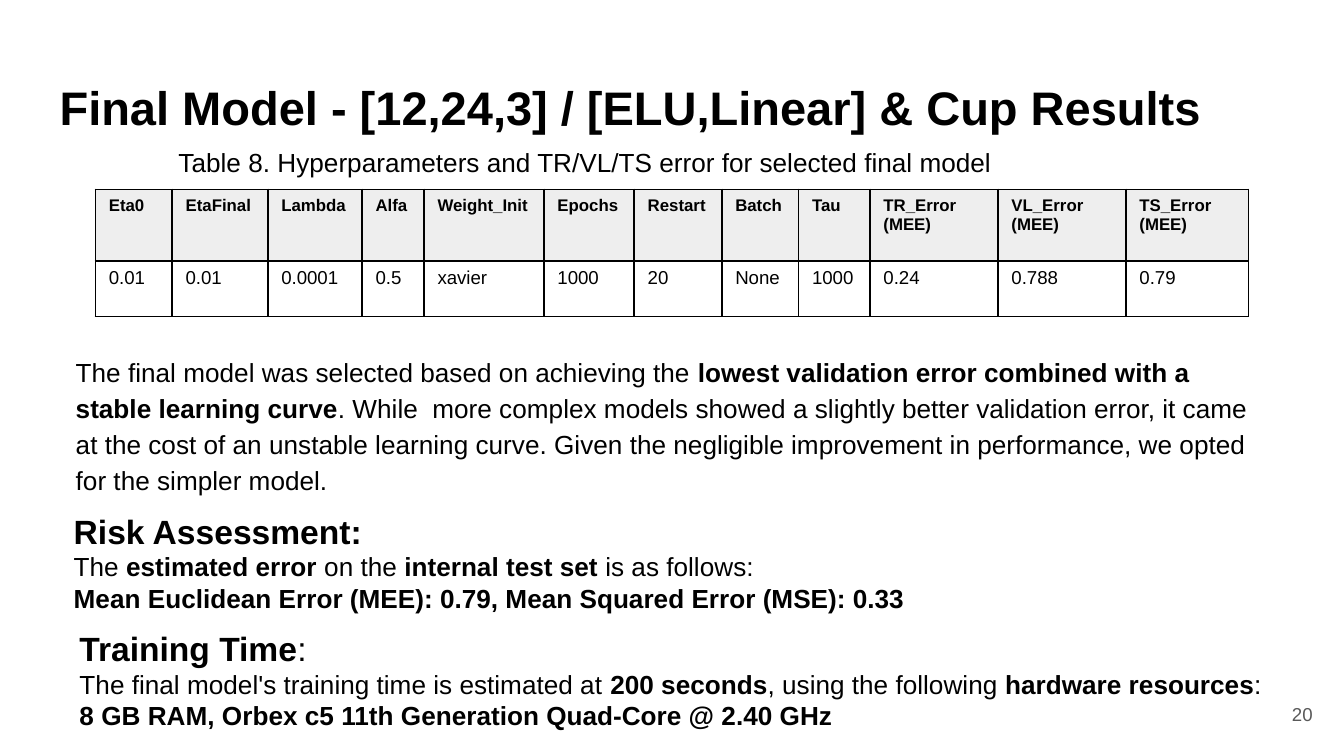
"""Builds the slide on the final model, its hyperparameters and cup results."""
from lxml.etree import SubElement
from pptx import Presentation
from pptx.dml.color import RGBColor
from pptx.enum.text import MSO_ANCHOR as Anchor, PP_ALIGN as Align
from pptx.oxml.ns import qn
from pptx.util import Inches, Pt

WIDTH = Inches(10)
HEIGHT = WIDTH * 9 // 16
FONT = "Arial"
COLORS = {"ink": "000000", "header": "EEEEEE", "number": "595959", "paper": "FFFFFF"}

TITLE = [[("**Final Model - [12,24,3] / [ELU,Linear] & Cup Results**", 25.2)]]
CAPTION = [[("Table 8. Hyperparameters and TR/VL/TS error for selected final model", 14)]]
SELECTION = [[(
    "The final model was selected based on achieving the **lowest validation error "
    "combined with a stable learning curve**. While  more complex models showed a "
    "slightly better validation error, it came at the cost of an unstable learning "
    "curve. Given the negligible improvement in performance, we opted for the "
    "simpler model.", 14)]]
RISK = [
    [("**Risk Assessment:**", 18),
     ("The **estimated error** on the **internal test set **is as follows:", 14)],
    [("**Mean Euclidean Error (MEE): 0.79, Mean Squared Error (MSE): 0.33**", 14)],
]
TRAINING = [
    [("**Training Time**:", 18),
     ("The final model's training time is estimated at **200 seconds**, "
      "using the following **hardware resources**:", 14)],
    [("**8 GB RAM, Orbex c5 11th Generation Quad-Core @ 2.40 GHz**", 14)],
]
PAGE = [[("20", 10)]]

HYPERPARAMETERS = [
    ("Eta0", "0.01", 0.57), ("EtaFinal", "0.01", 0.71), ("Lambda", "0.0001", 0.7),
    ("Alfa", "0.5", 0.46), ("Weight_Init", "xavier", 0.89), ("Epochs", "1000", 0.67),
    ("Restart", "20", 0.65), ("Batch", "None", 0.57), ("Tau", "1000", 0.53),
    ("TR_Error (MEE)", "0.24", 0.95), ("VL_Error (MEE)", "0.788", 0.95),
    ("TS_Error\n(MEE)", "0.79", 0.91),
]
ROW_SHARES = (9.5, 7.3)
TABLE_AREA = (7.1, 25.05, 85.84, sum(ROW_SHARES))


def place(left, top, width, height):
    """Turn percentages of the slide into lengths."""
    return [int(share * side / 100)
            for share, side in zip((left, top, width, height), (WIDTH, HEIGHT) * 2)]


def style(font, size, bold, color="ink"):
    font.name, font.size, font.bold = FONT, Pt(size), bold
    font.color.rgb = RGBColor.from_string(COLORS[color])


def write(slide, area, paragraphs, inset=0.1, color="ink", align=Align.LEFT,
          anchor=Anchor.TOP, spacing=None, indent=0):
    frame = slide.shapes.add_textbox(*place(*area)).text_frame
    frame.word_wrap, frame.vertical_anchor = True, anchor
    frame.margin_top = frame.margin_bottom = Inches(inset)
    for index, lines in enumerate(paragraphs):
        paragraph = frame.add_paragraph() if index else frame.paragraphs[0]
        paragraph.alignment, paragraph.line_spacing = align, spacing
        if indent:
            properties = paragraph._p.get_or_add_pPr()
            properties.set("marL", str(Inches(indent)))
            properties.set("indent", "0")
        for row, (line, size) in enumerate(lines):
            if row:
                paragraph.add_line_break()
            for part, words in enumerate(line.split("**")):
                if words:
                    run = paragraph.add_run()
                    run.text = words
                    style(run.font, size, part % 2 == 1, color)


def outline(cell):
    properties = cell._tc.get_or_add_tcPr()
    for edge in ("a:lnL", "a:lnR", "a:lnT", "a:lnB"):
        border = SubElement(properties, qn(edge), w=str(Pt(1)))
        fill = SubElement(border, qn("a:solidFill"))
        SubElement(fill, qn("a:srgbClr"), val=COLORS["ink"])


def fill_cell(cell, words, size, bold, background):
    cell.text = words
    for paragraph in cell.text_frame.paragraphs:
        for run in paragraph.runs:
            style(run.font, size, bold)
    outline(cell)
    cell.fill.solid()
    cell.fill.fore_color.rgb = RGBColor.from_string(COLORS[background])


def add_hyperparameters(slide):
    left, top, width, height = place(*TABLE_AREA)
    table = slide.shapes.add_table(
        len(ROW_SHARES), len(HYPERPARAMETERS), left, top, width, height).table
    for row, share in zip(table.rows, ROW_SHARES):
        row.height = int(HEIGHT * share / 100)
    total = sum(weight for _, _, weight in HYPERPARAMETERS)
    for index, (name, value, weight) in enumerate(HYPERPARAMETERS):
        table.columns[index].width = int(width * weight / total)
        fill_cell(table.cell(0, index), name, 9, True, "header")
        fill_cell(table.cell(1, index), value, 10, False, "paper")


def main():
    deck = Presentation()
    deck.slide_width, deck.slide_height = WIDTH, HEIGHT
    slide = deck.slides.add_slide(deck.slide_layouts[6])
    write(slide, (3.45, 8.65, 93.2, 11.2), TITLE)
    write(slide, (92.65, 90.7, 6, 7.6), PAGE, color="number",
          align=Align.RIGHT, anchor=Anchor.MIDDLE)
    add_hyperparameters(slide)
    write(slide, (3.45, 44.8, 92.2, 23.1), SELECTION, spacing=1.15, indent=0.12)
    write(slide, (4.5, 66.65, 90.1, 15.65), RISK, inset=0.05)
    write(slide, (4.93, 82.2, 90.1, 15.65), TRAINING, inset=0.05)
    write(slide, (12.3, 18.5, 80.7, 6), CAPTION, inset=0.05)
    deck.save("out.pptx")


if __name__ == "__main__":
    main()
